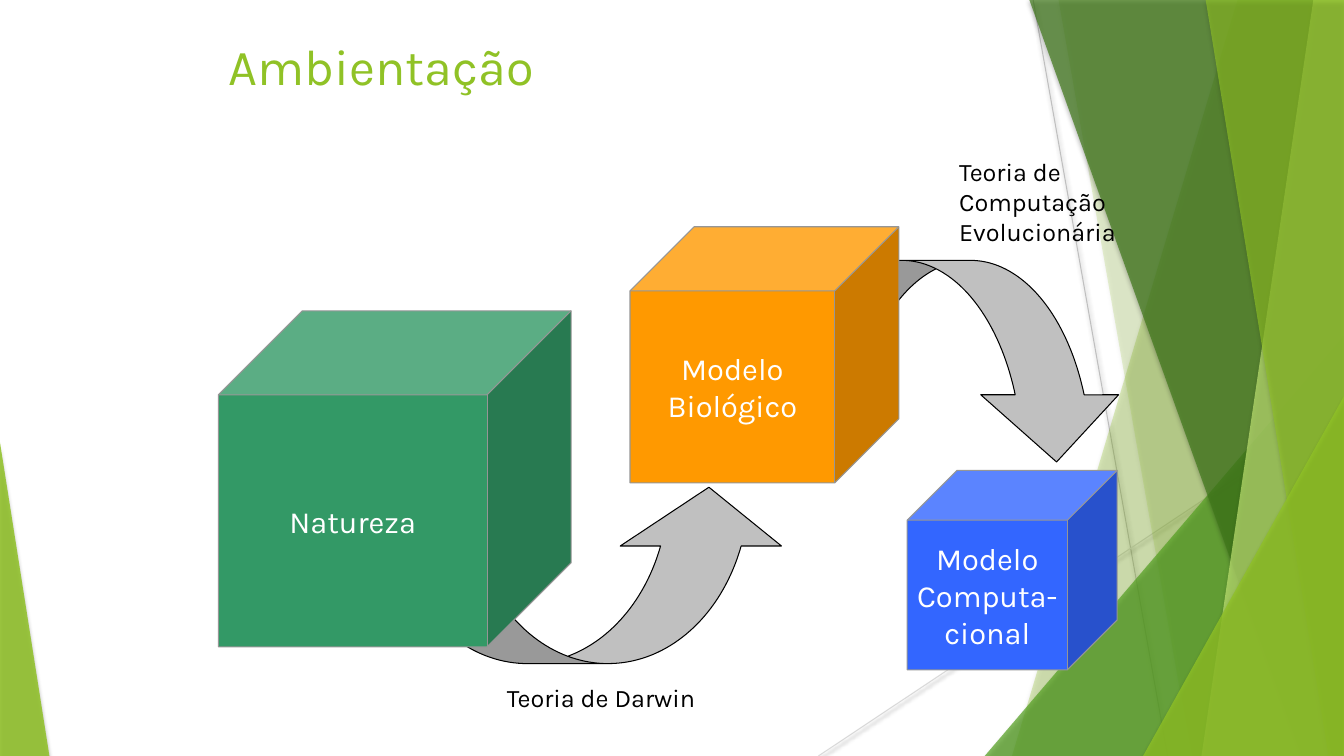
from dataclasses import dataclass

from lxml import etree
from pptx import Presentation
from pptx.dml.color import RGBColor
from pptx.enum.shapes import MSO_CONNECTOR, MSO_SHAPE
from pptx.enum.text import MSO_ANCHOR, PP_ALIGN
from pptx.oxml.ns import qn
from pptx.util import Pt

STRAIGHT = MSO_CONNECTOR.STRAIGHT
CUBE, TRIANGLE = MSO_SHAPE.CUBE, MSO_SHAPE.ISOSCELES_TRIANGLE
CURVED_UP, CURVED_DOWN = MSO_SHAPE.CURVED_UP_ARROW, MSO_SHAPE.CURVED_DOWN_ARROW
TOP, MIDDLE = MSO_ANCHOR.TOP, MSO_ANCHOR.MIDDLE
LEFT, CENTER = PP_ALIGN.LEFT, PP_ALIGN.CENTER
TITLE_ONLY = 5
WIDTH, HEIGHT = 960, 540
BLEED = -0.6


@dataclass(frozen=True)
class Theme:
    font: str = "Karla"
    title_size: int = 36
    cube_size: int = 22
    label_size: int = 18
    line_width: float = 0.75
    lime: str = "90C226"
    pale_lime: str = "C0E474"
    green: str = "54A021"
    dark_green: str = "3F7819"
    ray: str = "BFBFBF"
    pale_ray: str = "D9D9D9"
    nature: str = "339966"
    biology: str = "FF9900"
    computing: str = "3366FF"
    cube_edge: str = "969696"
    arrow: str = "C0C0C0"
    black: str = "000000"
    white: str = "FFFFFF"


THEME = Theme()


def color(value):
    return RGBColor.from_string(value)


def points(*values):
    return [Pt(value) for value in values]


def add_soft_shadow(shape, opacity, blur, distance):
    effects = etree.SubElement(shape._element.spPr, qn("a:effectLst"))
    shadow = etree.SubElement(
        effects, qn("a:outerShdw"), blurRad=str(Pt(blur)),
        dist=str(Pt(distance)), dir="5400000", rotWithShape="0")
    shade = etree.SubElement(shadow, qn("a:srgbClr"), val=THEME.black)
    etree.SubElement(shade, qn("a:alpha"), val=str(opacity * 1000))


def add_ray(slide, start, end, line_color):
    ray = slide.shapes.add_connector(STRAIGHT, *points(*start, *end))
    ray.line.color.rgb = color(line_color)
    ray.line.width = Pt(THEME.line_width)
    add_soft_shadow(ray, 38, 3.1, 1.6)


def style_facet(shape, fill_color, opacity):
    """Give a decorative facet its translucent fill and soft shadow."""
    shape.fill.solid()
    shape.fill.fore_color.rgb = color(fill_color)
    shape.line.fill.background()
    fill = shape._element.spPr.find(qn("a:solidFill")).find(qn("a:srgbClr"))
    etree.SubElement(fill, qn("a:alpha"), val=str(opacity * 1000))
    add_soft_shadow(shape, 35, 3, 2)


def add_band(slide, top_left, bottom_left, fill_color, opacity):
    """Fill from a slanted left edge to the right side of the slide."""
    builder = slide.shapes.build_freeform(*points(top_left, BLEED))
    corners = [(WIDTH, BLEED), (WIDTH, HEIGHT), (bottom_left, HEIGHT)]
    builder.add_line_segments([points(*corner) for corner in corners], close=True)
    style_facet(builder.convert_to_shape(), fill_color, opacity)


def add_corner(slide, left, top, width, apex, fill_color, opacity):
    """Add a triangle that stands on the bottom edge of the slide."""
    corner = slide.shapes.add_shape(
        TRIANGLE, *points(left, top, width, HEIGHT - top))
    corner.adjustments[0] = apex
    style_facet(corner, fill_color, opacity)


def add_decoration(slide):
    add_ray(slide, (738, 0), (834, HEIGHT), THEME.ray)
    add_ray(slide, (WIDTH, 290.2), (584.6, HEIGHT), THEME.pale_ray)
    add_band(slide, 884.2, 722.9, THEME.lime, 30)
    add_band(slide, 756, 851, THEME.lime, 20)
    add_corner(slide, 703.4, 239.8, 256.6, 1, THEME.green, 72)
    add_band(slide, 735.1, 929.5, THEME.dark_green, 70)
    add_band(slide, 938.2, 858.2, THEME.pale_lime, 70)
    add_band(slide, 861.1, 949, THEME.lime, 65)
    add_corner(slide, 816.5, 283, 143.5, 1, THEME.lime, 80)
    add_corner(slide, 0, 316.1, 35.3, 0, THEME.lime, 85)


def write_text(shape, text, size, text_color, alignment=LEFT, anchor=TOP, wrap=True):
    frame = shape.text_frame
    frame.text = text
    frame.word_wrap = wrap
    frame.vertical_anchor = anchor
    for paragraph in frame.paragraphs:
        paragraph.alignment = alignment
        paragraph.font.name = THEME.font
        paragraph.font.size = Pt(size)
        paragraph.font.color.rgb = color(text_color)


def add_title(slide, text):
    title = slide.shapes.title
    title.left, title.top, title.width, title.height = points(156, 21.6, 648, 90)
    write_text(title, text, THEME.title_size, THEME.lime)


def add_solid(slide, kind, box, fill_color, line_color):
    shape = slide.shapes.add_shape(kind, *points(*box))
    shape.shadow.inherit = False
    shape.fill.solid()
    shape.fill.fore_color.rgb = color(fill_color)
    shape.line.color.rgb = color(line_color)
    shape.line.width = Pt(THEME.line_width)
    return shape


def add_cube(slide, text, box, fill_color):
    cube = add_solid(slide, CUBE, box, fill_color, THEME.cube_edge)
    write_text(cube, text, THEME.cube_size, THEME.white, CENTER, MIDDLE, wrap=False)


def add_curved_arrow(slide, kind, box, thickness):
    arrow = add_solid(slide, kind, box, THEME.arrow, THEME.black)
    for index, value in enumerate((thickness, 2 * thickness, 1 / 3)):
        arrow.adjustments[index] = value


def add_label(slide, text, box, wrap=True):
    label = slide.shapes.add_textbox(*points(*box))
    write_text(label, text, THEME.label_size, THEME.black, wrap=wrap)


def main():
    presentation = Presentation()
    presentation.slide_width, presentation.slide_height = points(WIDTH, HEIGHT)
    slide = presentation.slides.add_slide(presentation.slide_layouts[TITLE_ONLY])

    add_decoration(slide)
    add_title(slide, "Ambientação")
    add_cube(slide, "Modelo\nComputa-\ncional", (648, 336, 150, 142.5), THEME.computing)
    add_curved_arrow(slide, CURVED_UP, (276, 348, 288, 126), 0.457)
    add_cube(slide, "Natureza", (156, 222, 252, 240), THEME.nature)
    add_curved_arrow(slide, CURVED_DOWN, (558, 186, 246, 144), 0.342)
    add_cube(slide, "Modelo\nBiológico", (450, 162, 192, 183), THEME.biology)
    add_label(slide, "Teoria de Darwin", (355, 484, 164, 28), wrap=False)
    add_label(slide, "Teoria de Computação Evolucionária", (678, 108, 147.6, 71.3))

    presentation.save("out.pptx")


if __name__ == "__main__":
    main()
